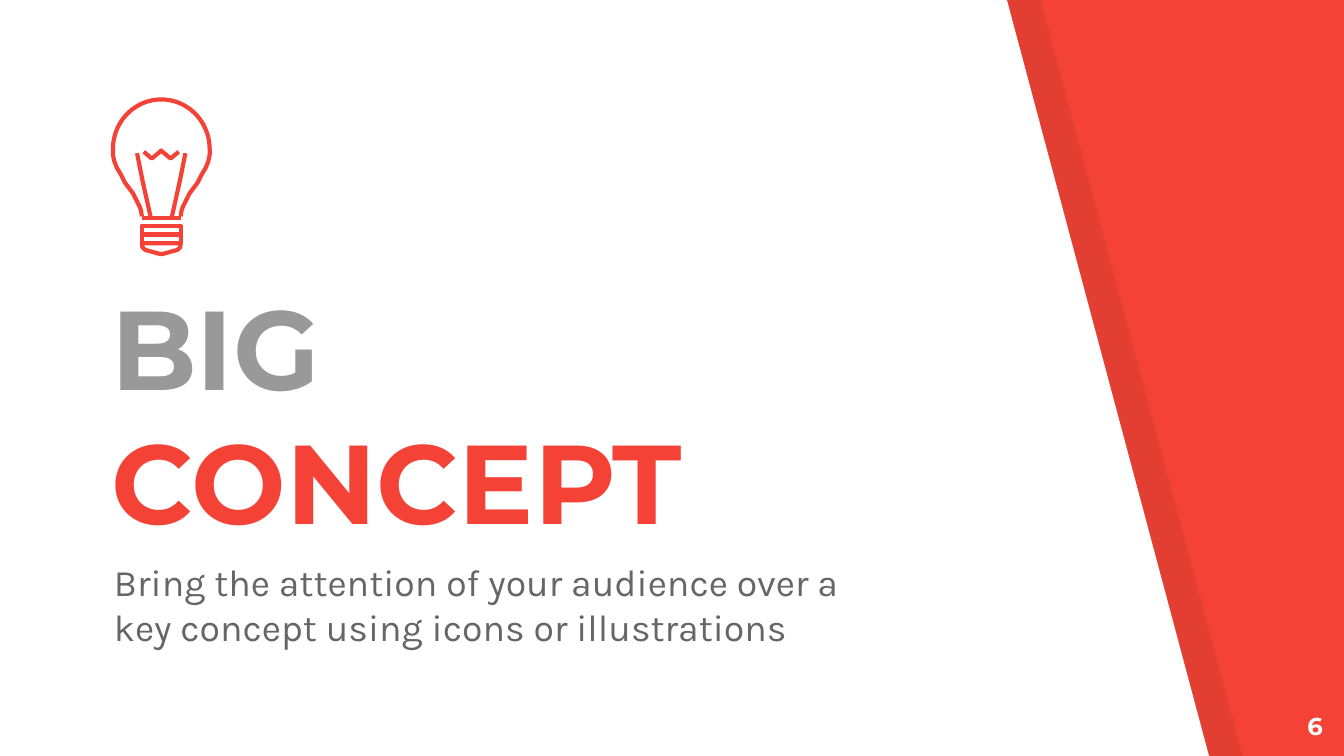
from math import cos, radians, sin

from lxml.etree import SubElement
from pptx import Presentation
from pptx.dml.color import RGBColor
from pptx.enum.shapes import MSO_CONNECTOR, MSO_SHAPE
from pptx.enum.text import MSO_ANCHOR, PP_ALIGN
from pptx.oxml.ns import qn
from pptx.util import Inches, Pt

COLORS = {
    "red": "F44336",
    "shade": "000000",
    "white": "FFFFFF",
    "title": "999999",
    "body": "666666",
}
BULB_AXIS, BULB_CENTER, BULB_RADIUS = 1.2, 1.11, 0.36
BASE_WIDTH = 0.29
BASE_LEFT = BULB_AXIS - BASE_WIDTH / 2
BASE_RIGHT = BASE_LEFT + BASE_WIDTH


def rgb(name):
    return RGBColor.from_string(COLORS[name])


def add_outline(shapes, points, closed=True):
    (x, y), *rest = [(Inches(px), Inches(py)) for px, py in points]
    builder = shapes.build_freeform(x, y)
    builder.add_line_segments(rest, close=closed)
    sp = builder.convert_to_shape()
    sp.shadow.inherit = False
    return sp


def add_panel(shapes, left, color, opacity=None):
    """Slanted panel; opacity is a percentage."""
    sp = add_outline(shapes, [(left, -0.01), (left, 5.64),
                              (left + 9, 5.64), (left + 7.49, -0.01)])
    sp.fill.solid()
    sp.fill.fore_color.rgb = rgb(color)
    sp.line.fill.background()
    if opacity is not None:
        clr = sp.fill._xPr.find(qn("a:solidFill"))[0]
        SubElement(clr, qn("a:alpha"), val=str(opacity * 1000))


def set_stroke(sp):
    sp.line.color.rgb = rgb("red")
    sp.line.width = Pt(2.25)


def add_stroke(shapes, points, closed=False):
    sp = add_outline(shapes, points, closed)
    sp.fill.background()
    set_stroke(sp)


def add_thread(shapes, top):
    sp = shapes.add_shape(MSO_SHAPE.RECTANGLE, Inches(BASE_LEFT), Inches(top),
                          Inches(BASE_WIDTH), Inches(0.06))
    sp.shadow.inherit = False
    sp.fill.background()
    set_stroke(sp)


def add_collar(shapes, y):
    line = shapes.add_connector(MSO_CONNECTOR.STRAIGHT, Inches(BASE_LEFT), Inches(y),
                                Inches(BASE_RIGHT), Inches(y))
    set_stroke(line)
    SubElement(line._element.spPr, qn("a:effectLst"))


def mirrored(points):
    """Points in reverse order, reflected in the axis of the bulb."""
    return [(2 * BULB_AXIS - x, y) for x, y in reversed(points)]


def add_bulb(slide):
    shapes = slide.shapes.add_group_shape().shapes
    for top in (1.75, 1.68):
        add_thread(shapes, top)

    tip = [(BASE_LEFT, 1.81), (1.06, 1.84), (1.08, 1.86), (1.19, 1.89)]
    add_stroke(shapes, tip + mirrored(tip), closed=True)

    neck = [(BASE_RIGHT, 1.61), (1.35, 1.57), (1.36, 1.54), (1.38, 1.5),
            (1.41, 1.44), (1.47, 1.36), (1.5, 1.3), (1.53, 1.25),
            (1.55, 1.2), (1.56, 1.15)]
    dome = [(BULB_AXIS + BULB_RADIUS * cos(radians(a)),
             BULB_CENTER - (BULB_RADIUS + 0.01) * sin(radians(a)))
            for a in range(0, 181, 6)]
    add_stroke(shapes, neck + dome + mirrored(neck))

    support = [(1.12, 1.61), (1.06, 1.34), (1.02, 1.14)]
    add_stroke(shapes, support)
    add_stroke(shapes, mirrored(support))

    filament = [(1.07, 1.13), (1.13, 1.18), (1.19, 1.13)]
    add_stroke(shapes, filament + [(BULB_AXIS, 1.12)] + mirrored(filament))
    add_collar(shapes, 1.62)


def add_text(slide, box, runs, font, size, bold=False,
             anchor=MSO_ANCHOR.TOP, align=PP_ALIGN.LEFT):
    """Runs are (text, color name) pairs in one paragraph."""
    tf = slide.shapes.add_textbox(*map(Inches, box)).text_frame
    tf.word_wrap = True
    tf.vertical_anchor = anchor
    tf.margin_left = tf.margin_right = Inches(0.1)
    tf.margin_top = tf.margin_bottom = Inches(0.1)
    p = tf.paragraphs[0]
    p.alignment = align
    for text, color in runs:
        r = p.add_run()
        r.text = text
        r.font.name = font
        r.font.size = Pt(size)
        r.font.bold = bold
        r.font.color.rgb = rgb(color)


def main():
    prs = Presentation()
    prs.slide_width = Inches(10)
    prs.slide_height = prs.slide_width * 9 // 16
    s = prs.slides.add_slide(prs.slide_layouts[6])
    s.background.fill.solid()
    s.background.fill.fore_color.rgb = rgb("red")

    add_panel(s.shapes, 0.25, "shade", opacity=7)
    add_panel(s.shapes, 0, "white")
    add_text(s, (0.73, 2.9, 5.74, 1.27), [("BIG ", "title"), ("CONCEPT", "red")],
             "Montserrat", 60, bold=True, anchor=MSO_ANCHOR.BOTTOM)
    add_text(s, (0.75, 4.06, 5.74, 0.86),
             [("Bring the attention of your audience over a key concept "
               "using icons or illustrations", "body")], "Karla", 20)
    add_bulb(s)
    add_text(s, (9.34, 5.19, 0.6, 0.43), [("6", "white")],
             "Montserrat", 13, bold=True, align=PP_ALIGN.RIGHT)
    prs.save("out.pptx")


if __name__ == "__main__":
    main()
